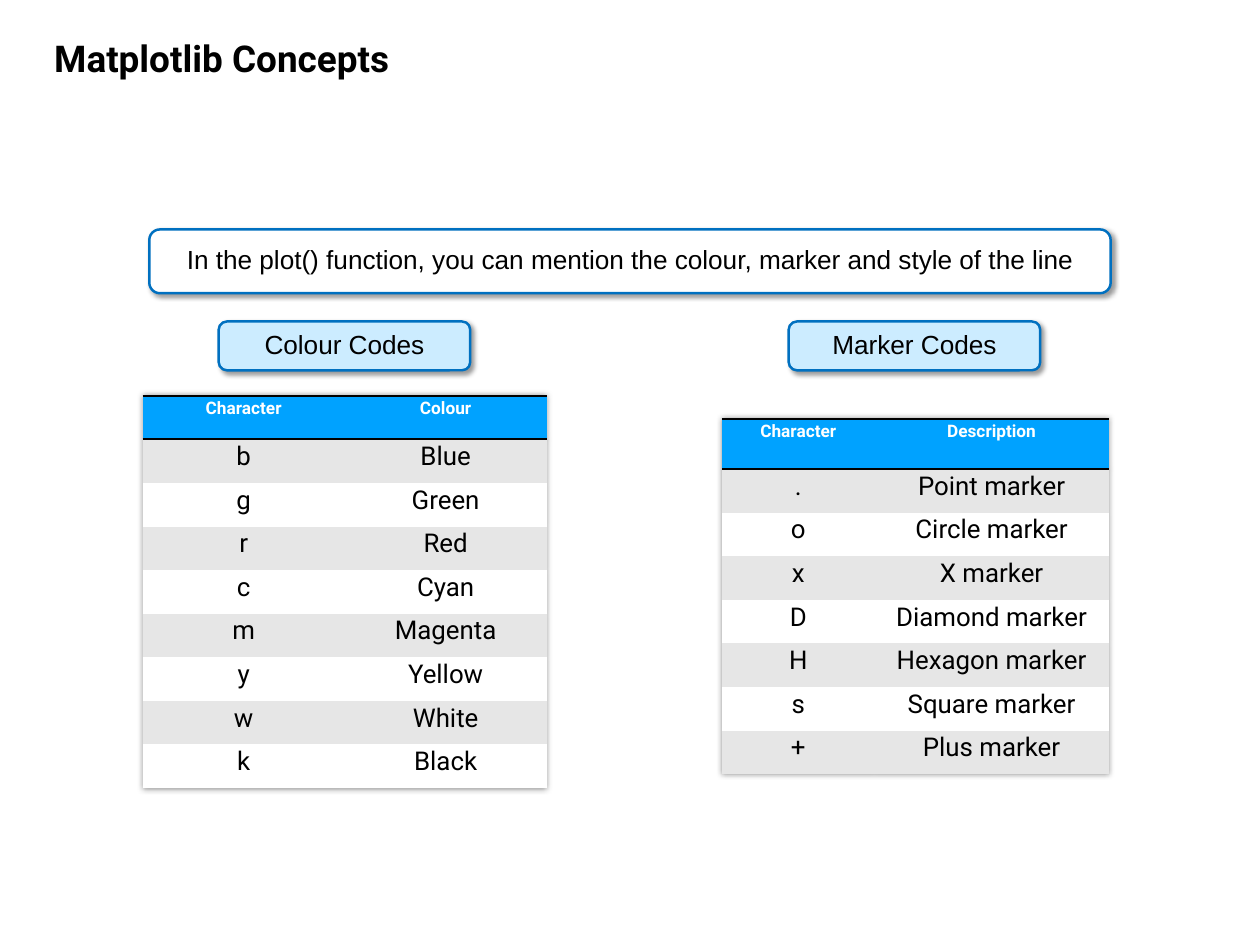
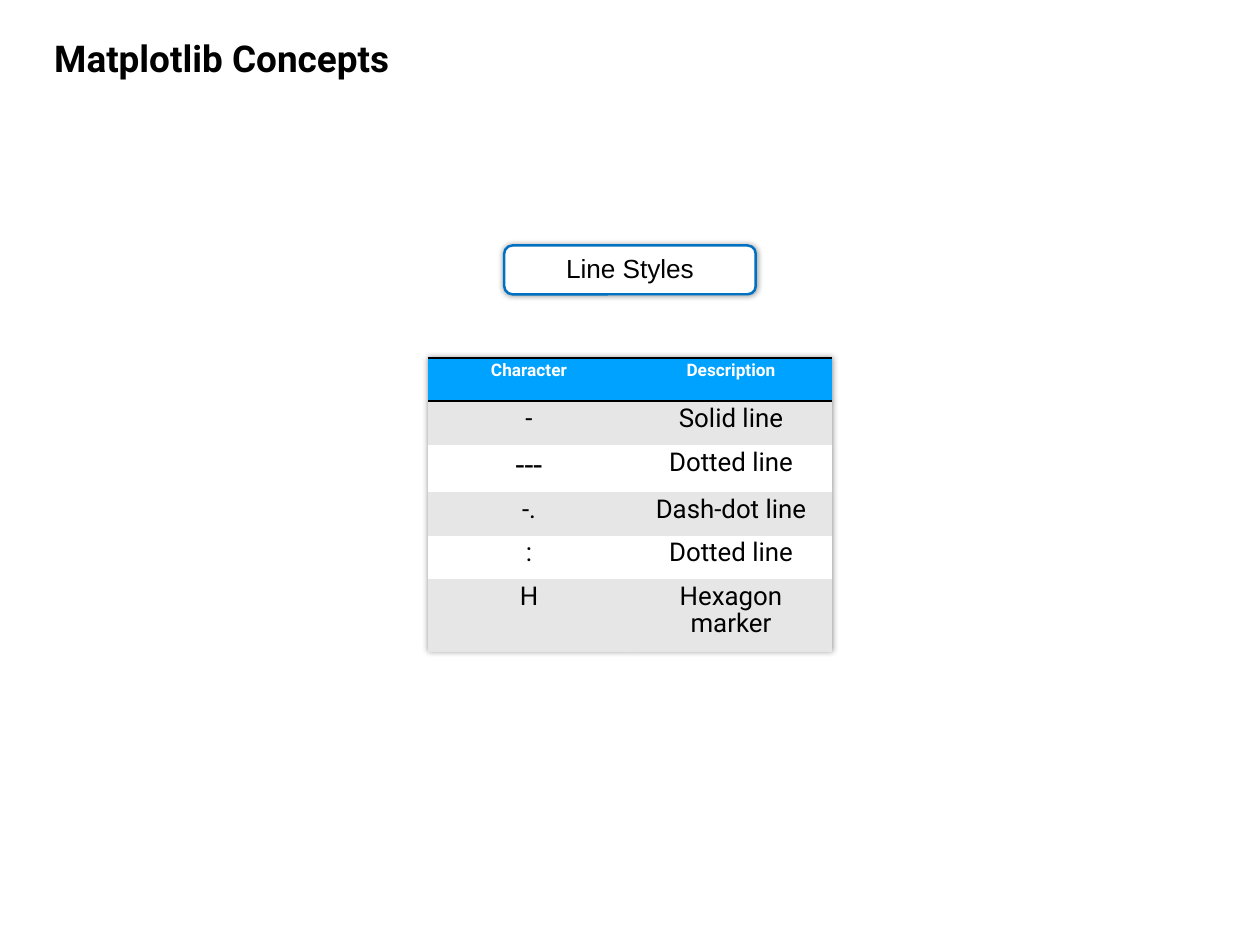
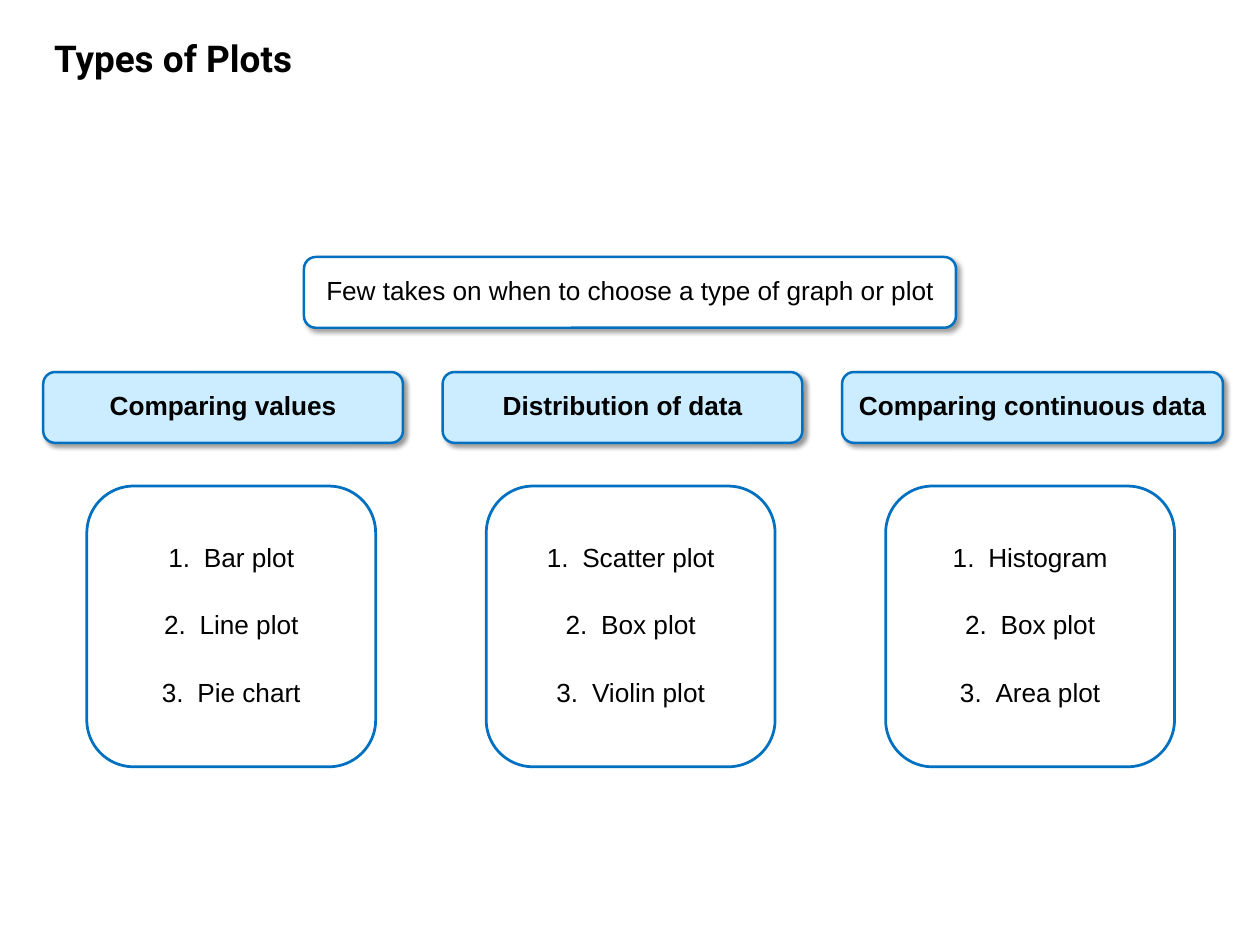
from lxml import etree
from pptx import Presentation
from pptx.dml.color import RGBColor
from pptx.enum import shapes, text
from pptx.oxml import ns
from pptx.util import Cm, Pt

# Shared style
BLACK = RGBColor(0x00, 0x00, 0x00)
WHITE = RGBColor(0xFF, 0xFF, 0xFF)
OUTLINE = RGBColor(0x00, 0x70, 0xC0)
PALE_BLUE = RGBColor(0xCC, 0xEC, 0xFF)
HEADER_BLUE = RGBColor(0x00, 0xA2, 0xFF)
BAND_GREY = RGBColor(0xE6, 0xE6, 0xE6)

WIDTH, HEIGHT = 36.12, 27.1
LABEL_SIZE = (7.21, 1.4)
ROW = 1.25
PLAIN_TABLE = "{2D5ABB26-0587-4C30-8999-92F81FD0307C}"

TITLE_FONT = {"name": "Roboto", "size": Pt(30), "bold": True}
BOX_FONT = {"name": "Arial", "size": Pt(21.3), "bold": False}
HEADER_FONT = {"name": "Roboto", "size": Pt(14), "bold": True}
CELL_FONT = {"name": "Roboto", "size": Pt(21), "bold": False}
PARAGRAPH = {"line_spacing": 0.9, "space_before": Pt(32)}
DROP = {"blur": 4, "distance": 3, "angle": 45}
GLOW = {"blur": 5, "distance": 0, "angle": 0}


def assign(target, values):
    for name, value in values.items():
        setattr(target, name, value)


def add_child(parent, tag, **attributes):
    child = etree.SubElement(parent, ns.qn(tag))
    for name, value in attributes.items():
        child.set(name, str(value))
    return child


def add_shadow(effects, blur, distance, angle):
    shadow = add_child(effects, "a:outerShdw", blurRad=Pt(blur), dist=Pt(distance),
                       dir=angle * 60000, algn="ctr", rotWithShape=0)
    colour = add_child(shadow, "a:srgbClr", val=BLACK)
    add_child(colour, "a:alpha", val=40000)


class Builder:
    """Holds the deck, its style and the current slide."""

    def __init__(self):
        self.deck = Presentation()
        self.deck.slide_width, self.deck.slide_height = Cm(WIDTH), Cm(HEIGHT)
        self.page = None

    def fill_para(self, para, words, font, colour=BLACK,
                  align=text.PP_ALIGN.CENTER):
        assign(para, PARAGRAPH)
        para.alignment = align
        span = para.add_run()
        span.text = words
        assign(span.font, font)
        span.font.color.rgb = colour

    def slide(self, title):
        self.page = self.deck.slides.add_slide(self.deck.slide_layouts[5])
        box = self.page.shapes.title
        assign(box, {"left": Cm(1.3), "top": Cm(1.04),
                     "width": Cm(14.73), "height": Cm(1.42)})
        assign(box.text_frame, {"word_wrap": True,
                                "vertical_anchor": text.MSO_ANCHOR.TOP,
                                "auto_size": text.MSO_AUTO_SIZE.SHAPE_TO_FIT_TEXT})
        self.fill_para(box.text_frame.paragraphs[0], title, TITLE_FONT,
                       align=text.PP_ALIGN.LEFT)

    def box(self, lines, top, size, left=None, fill=WHITE, shadow=None,
            weight=2, bold=False, numbered=False):
        """Rounded box; centred on the slide when no left is given."""
        width, height = size
        if left is None:
            left = (WIDTH - width) / 2
        box = self.page.shapes.add_shape(shapes.MSO_SHAPE.ROUNDED_RECTANGLE,
                                         Cm(left), Cm(top), Cm(width), Cm(height))
        box.fill.solid()
        box.fill.fore_color.rgb = fill
        box.line.color.rgb = OUTLINE
        box.line.width = Pt(weight)
        box.shadow.inherit = False
        if shadow:
            add_shadow(box._element.spPr.find(ns.qn("a:effectLst")), **shadow)
        frame = box.text_frame
        assign(frame, {"word_wrap": True, "vertical_anchor": text.MSO_ANCHOR.MIDDLE})
        for index, line in enumerate(lines):
            para = frame.add_paragraph() if index else frame.paragraphs[0]
            self.fill_para(para, line, {**BOX_FONT, "bold": bold})
            if numbered:
                properties = para._p.get_or_add_pPr()
                properties.set("marL", str(Cm(1.02)))
                properties.set("indent", str(Cm(-1.02)))
                add_child(properties, "a:buAutoNum", type="arabicPeriod")

    def label(self, words, top, left=None, **options):
        self.box([words], top, LABEL_SIZE, left, **options)

    def table(self, rows, left, top, columns, heights=None, sizes=None):
        """Banded table; heights and sizes give exceptions by row and by cell."""
        heights, sizes = heights or {}, sizes or {}
        row_heights = [heights.get(index, ROW) for index in range(len(rows))]
        frame = self.page.shapes.add_table(
            len(rows), len(columns), Cm(left), Cm(top),
            Cm(sum(columns)), Cm(sum(row_heights)))
        table = frame.table
        assign(table, {"first_row": False, "horz_banding": False})
        properties = table._tbl.tblPr
        properties.find(ns.qn("a:tableStyleId")).text = PLAIN_TABLE
        effects = add_child(properties, "a:effectLst")
        properties.insert(0, effects)
        add_shadow(effects, **GLOW)
        for column, width in zip(table.columns, columns):
            column.width = Cm(width)
        for y, (row, height) in enumerate(zip(rows, row_heights)):
            table.rows[y].height = Cm(height)
            for x, words in enumerate(row):
                cell = table.cell(y, x)
                if y == 0:
                    self.rule_cell(cell)
                    fill, font, colour = HEADER_BLUE, HEADER_FONT, WHITE
                else:
                    fill = BAND_GREY if y % 2 else WHITE
                    size = sizes.get((y, x), CELL_FONT["size"])
                    font, colour = {**CELL_FONT, "size": size}, BLACK
                cell.fill.solid()
                cell.fill.fore_color.rgb = fill
                self.fill_para(cell.text_frame.paragraphs[0], words, font, colour)

    def rule_cell(self, cell):
        """Black rule above and below a header cell."""
        properties = cell._tc.get_or_add_tcPr()
        for side in ("a:lnT", "a:lnB"):
            line = add_child(properties, side, w=Pt(2))
            add_child(add_child(line, "a:solidFill"), "a:srgbClr", val=BLACK)


def main():
    show = Builder()

    # Colour and marker codes
    show.slide("Matplotlib Concepts")
    show.box(["In the plot() function, you can mention the colour, marker "
              "and style of the line"], 6.58, (27.56, 1.83), shadow=DROP)
    show.table([("Character", "Colour"), ("b", "Blue"), ("g", "Green"),
                ("r", "Red"), ("c", "Cyan"), ("m", "Magenta"),
                ("y", "Yellow"), ("w", "White"), ("k", "Black")],
               4.09, 11.35, (5.79, 5.79))
    show.table([("Character", "Description"), (".", "Point marker"),
                ("o", "Circle marker"), ("x", "X marker"),
                ("D", "Diamond marker"), ("H", "Hexagon marker"),
                ("s", "Square marker"), ("+", "Plus marker")],
               20.7, 12.01, (4.37, 6.71), heights={0: 1.44})
    for words, left in (("Colour Codes", 6.27), ("Marker Codes", 22.61)):
        show.label(words, 9.22, left, fill=PALE_BLUE, shadow=DROP)

    # Line styles
    show.slide("Matplotlib Concepts")
    show.table([("Character", "Description"), ("-", "Solid line"),
                ("---", "Dotted line"), ("-.", "Dash-dot line"),
                (":", "Dotted line"), ("H", "Hexagon marker")],
               12.27, 10.26, (5.79, 5.79), heights={2: 1.35, 5: 2.08},
               sizes={(2, 0): Pt(26)})
    show.label("Line Styles", 7.04, shadow=GLOW)

    # Types of plots
    show.slide("Types of Plots")
    show.box(["Few takes on when to choose a type of graph or plot"],
             7.37, (18.69, 2.03), shadow=DROP)
    groups = [
        ("Comparing values", 10.31, ["Bar plot", "Line plot", "Pie chart"]),
        ("Distribution of data", 10.31, ["Scatter plot", "Box plot", "Violin plot"]),
        ("Comparing continuous data", 10.92, ["Histogram", "Box plot", "Area plot"]),
    ]
    pitch = 11.45
    for index, (heading, width, plots) in enumerate(groups):
        offset = index * pitch
        show.box([heading], 10.67, (width, 2.03), 1.24 + offset,
                 fill=PALE_BLUE, shadow=DROP, bold=True)
        show.box(plots, 13.94, (8.28, 8.05), 2.49 + offset,
                 weight=2.25, numbered=True)

    show.deck.save("out.pptx")


if __name__ == "__main__":
    main()
